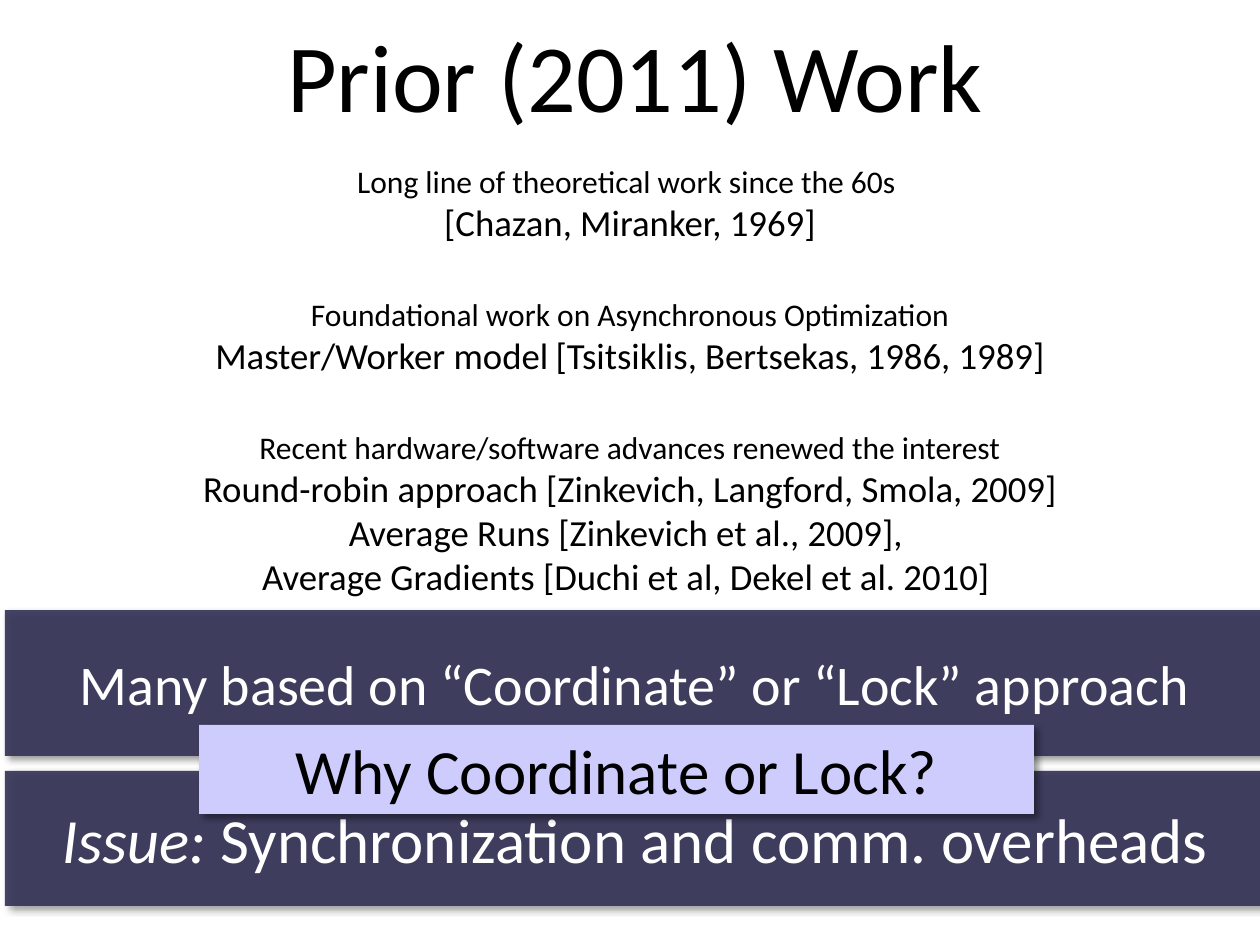
from lxml import etree
from pptx import Presentation
from pptx.dml.color import RGBColor
from pptx.enum.shapes import MSO_SHAPE
from pptx.enum.text import MSO_ANCHOR, MSO_AUTO_SIZE, PP_ALIGN
from pptx.oxml.ns import qn
from pptx.util import Emu, Pt

RECTANGLE = MSO_SHAPE.RECTANGLE
MIDDLE, TOP = MSO_ANCHOR.MIDDLE, MSO_ANCHOR.TOP
CENTER = PP_ALIGN.CENTER
NO_AUTOFIT = MSO_AUTO_SIZE.NONE

BLACK = RGBColor(0x00, 0x00, 0x00)
WHITE = RGBColor(0xFF, 0xFF, 0xFF)
NAVY = RGBColor(0x37, 0x36, 0x59)
LAVENDER = RGBColor(0xCE, 0xCC, 0xFD)

PX = 914400 / 126
TITLE_ONLY = 5
HEADING_SIZE, CITATION_SIZE = 18, 21
GROUP_GAP = 29

# Each group: the paragraph's lines, each line a list of (text, size) spans.
WORK_GROUPS = [
    [
        [("Long line of theoretical work since the 60s ", HEADING_SIZE)],
        [("[Chazan, Miranker, 1969]", CITATION_SIZE)],
    ],
    [
        [("Foundational work on Asynchronous Optimization", HEADING_SIZE)],
        [
            ("Master/Worker model", CITATION_SIZE),
            (" ", HEADING_SIZE),
            ("[Tsitsiklis, Bertsekas, 1986, 1989]", CITATION_SIZE),
        ],
    ],
    [
        [("Recent hardware/software advances renewed the interest", HEADING_SIZE)],
        [("Round-robin approach [Zinkevich, Langford, Smola, 2009]", CITATION_SIZE)],
        [("Average Runs [Zinkevich et al., 2009], ", CITATION_SIZE)],
        [("Average Gradients [Duchi et al, Dekel et al. 2010] ", CITATION_SIZE)],
    ],
]


def px(*lengths):
    return [Emu(round(length * PX)) for length in lengths]


class SlideBuilder:
    """Holds the text style and the page being filled."""

    font_name = "Calibri"

    def __init__(self, page):
        self.page = page

    def prepare(self, box, anchor):
        frame = box.text_frame
        for name, value in {
            "word_wrap": True,
            "auto_size": NO_AUTOFIT,
            "vertical_anchor": anchor,
        }.items():
            setattr(frame, name, value)
        frame.paragraphs[0].alignment = CENTER
        return frame

    def span(self, para, text, size, color, italic=False):
        run = para.add_run()
        run.text = text
        for name, value in {
            "name": self.font_name,
            "size": Pt(size),
            "italic": italic,
        }.items():
            setattr(run.font, name, value)
        run.font.color.rgb = color

    def title(self, text, bounds, size):
        box = self.page.shapes.title
        box.left, box.top, box.width, box.height = px(*bounds)
        frame = self.prepare(box, MIDDLE)
        self.span(frame.paragraphs[0], text, size, BLACK)

    def work_list(self, groups, bounds):
        frame = self.prepare(self.page.shapes.add_textbox(*px(*bounds)), TOP)
        for group_number, lines in enumerate(groups):
            para = frame.add_paragraph() if group_number else frame.paragraphs[0]
            para.alignment = CENTER
            if group_number:
                para.space_before = Pt(GROUP_GAP)
            for line_number, line in enumerate(lines):
                if line_number:
                    para.add_line_break()
                for text, size in line:
                    self.span(para, text, size, BLACK)

    def banner(self, spans, bounds, size, fill, color, opacity=100):
        """Add a shadowed bar; spans are (text, italic) pairs."""
        bar = self.page.shapes.add_shape(RECTANGLE, *px(*bounds))
        bar.fill.solid()
        bar.fill.fore_color.rgb = fill
        bar.line.fill.background()
        if opacity < 100:
            fill_color = bar._element.spPr.find(qn("a:solidFill"))[0]
            self.add_alpha(fill_color, opacity)
        self.add_shadow(bar)
        frame = self.prepare(bar, MIDDLE)
        for text, italic in spans:
            self.span(frame.paragraphs[0], text, size, color, italic)

    def add_alpha(self, color_element, percent):
        etree.SubElement(color_element, qn("a:alpha"), val=str(percent * 1000))

    def add_shadow(self, shape):
        shape.shadow.inherit = False
        effects = shape._element.spPr.find(qn("a:effectLst"))
        shadow = etree.SubElement(
            effects, qn("a:outerShdw"), blurRad=str(Pt(4)), dist=str(Pt(3)),
            dir=str(45 * 60000), algn="tl", rotWithShape="0",
        )
        color = etree.SubElement(shadow, qn("a:srgbClr"), val=str(BLACK))
        self.add_alpha(color, 40)


def main():
    deck = Presentation()
    deck.slide_width, deck.slide_height = px(1260, 945)
    page = deck.slides.add_slide(deck.slide_layouts[TITLE_ONLY])
    builder = SlideBuilder(page)

    builder.title("Prior (2011) Work", (5, -28, 1260, 203), 55)
    builder.work_list(WORK_GROUPS, (92, 156, 1076, 609))
    builder.banner(
        [("Issue: ", True), ("Synchronization and comm. overheads", False)],
        (5, 771, 1260, 135), 36, NAVY, WHITE, opacity=93,
    )
    builder.banner(
        [("Many based on “Coordinate” or “Lock” approach", False)],
        (5, 610, 1260, 146), 32, NAVY, WHITE, opacity=93,
    )
    builder.banner(
        [("Why Coordinate or Lock?", False)],
        (199, 725, 835, 89), 36, LAVENDER, BLACK,
    )
    deck.save("out.pptx")


if __name__ == "__main__":
    main()
